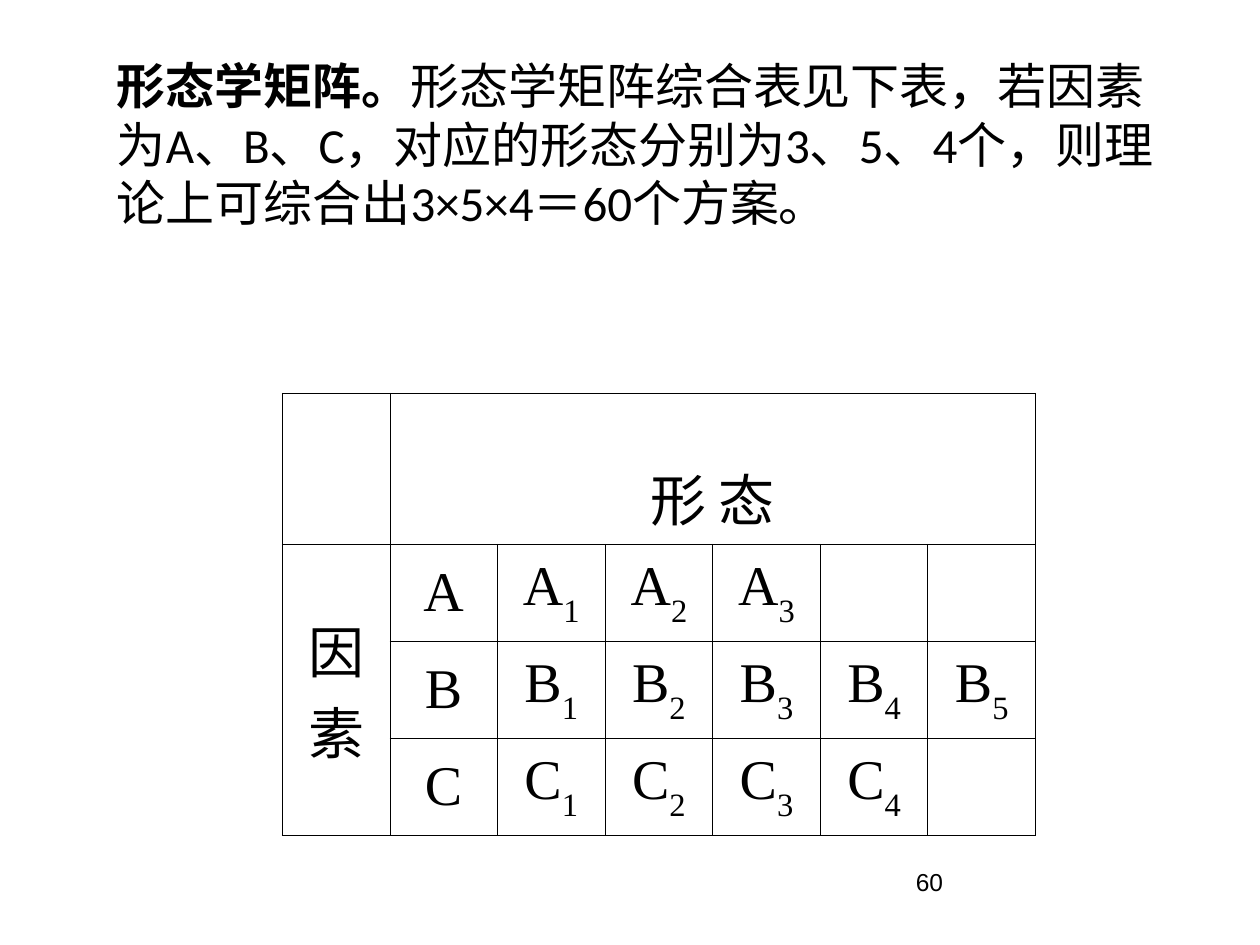
import pptx
import pptx.dml.color
import pptx.enum.text
import pptx.oxml
import pptx.oxml.ns
import pptx.util

BLACK = "000000"
SLIDE_WIDTH = pptx.util.Inches(10)
SLIDE_HEIGHT = pptx.util.Inches(7.5)
COLUMNS = 7
TABLE_LEFT, TABLE_TOP, TABLE_WIDTH = 2.24, 3.12, 5.98
HEADER_HEIGHT, ROW_HEIGHT = 1.2, 0.77
BORDER_WIDTH = 0.45
FACTORS = {"A": 3, "B": 5, "C": 4}


def color(hex_string):
    return pptx.dml.color.RGBColor.from_string(hex_string)


def add_run(paragraph, text, size, font_name, bold=False, subscript=False):
    run = paragraph.add_run()
    run.text = text
    run.font.size = pptx.util.Pt(size)
    run.font.name = font_name
    run.font.bold = bold
    run.font.color.rgb = color(BLACK)
    if subscript:
        run.font._element.set("baseline", "-30000")


def add_text(slide, left, top, width, height):
    """Add a wrapping text box and return its first paragraph."""
    shape = slide.shapes.add_textbox(*map(pptx.util.Inches, (left, top, width, height)))
    shape.text_frame.word_wrap = True
    return shape.text_frame.paragraphs[0]


def set_borders(cell):
    properties = cell._tc.get_or_add_tcPr()
    width = pptx.util.Pt(BORDER_WIDTH)
    for position, side in enumerate(("lnL", "lnR", "lnT", "lnB")):
        line = pptx.oxml.parse_xml(
            f'<a:{side} {pptx.oxml.ns.nsdecls("a")} w="{width}">'
            f'<a:solidFill><a:srgbClr val="{BLACK}"/></a:solidFill></a:{side}>'
        )
        properties.insert(position, line)


def fill_cell(cell, text, index="", anchor=pptx.enum.text.MSO_ANCHOR.MIDDLE):
    cell.vertical_anchor = anchor
    paragraph = cell.text_frame.paragraphs[0]
    paragraph.alignment = pptx.enum.text.PP_ALIGN.CENTER
    add_run(paragraph, text, 32, "Times New Roman")
    if index:
        add_run(paragraph, index, 32, "Times New Roman", subscript=True)


def add_matrix(slide):
    row_count = len(FACTORS) + 1
    height = HEADER_HEIGHT + ROW_HEIGHT * len(FACTORS)
    frame = slide.shapes.add_table(
        row_count, COLUMNS,
        *map(pptx.util.Inches, (TABLE_LEFT, TABLE_TOP, TABLE_WIDTH, height)),
    )
    table = frame.table
    table.first_row = table.horz_banding = False
    for column in table.columns:
        column.width = pptx.util.Inches(TABLE_WIDTH / COLUMNS)
    for number, row in enumerate(table.rows):
        row.height = pptx.util.Inches(ROW_HEIGHT if number else HEADER_HEIGHT)
        for cell in row.cells:
            cell.fill.background()
            set_borders(cell)

    # Headings across the top and down the side
    table.cell(0, 1).merge(table.cell(0, COLUMNS - 1))
    table.cell(1, 0).merge(table.cell(row_count - 1, 0))
    fill_cell(table.cell(0, 1), "形 态", anchor=pptx.enum.text.MSO_ANCHOR.BOTTOM)
    fill_cell(table.cell(1, 0), "因素")

    # Each factor followed by its numbered forms
    for row, (factor, forms) in enumerate(FACTORS.items(), start=1):
        fill_cell(table.cell(row, 1), factor)
        for form in range(1, forms + 1):
            fill_cell(table.cell(row, form + 1), factor, str(form))


def main():
    presentation = pptx.Presentation()
    presentation.slide_width = SLIDE_WIDTH
    presentation.slide_height = SLIDE_HEIGHT
    slide = presentation.slides.add_slide(presentation.slide_layouts[6])

    add_matrix(slide)

    # Explanation above the matrix
    explanation = add_text(slide, 0.83, 0.39, 8.71, 1.5)
    add_run(explanation, "形态学矩阵。", 28, "Calibri", bold=True)
    add_run(
        explanation,
        "形态学矩阵综合表见下表，若因素为A、B、C，对应的形态分别为3、5、4个，"
        "则理论上可综合出3×5×4＝60个方案。",
        28, "Calibri",
    )

    # Page number
    add_run(add_text(slide, 7.17, 6.83, 2.5, 0.52), "60", 14, "Arial")

    presentation.save("out.pptx")


if __name__ == "__main__":
    main()
